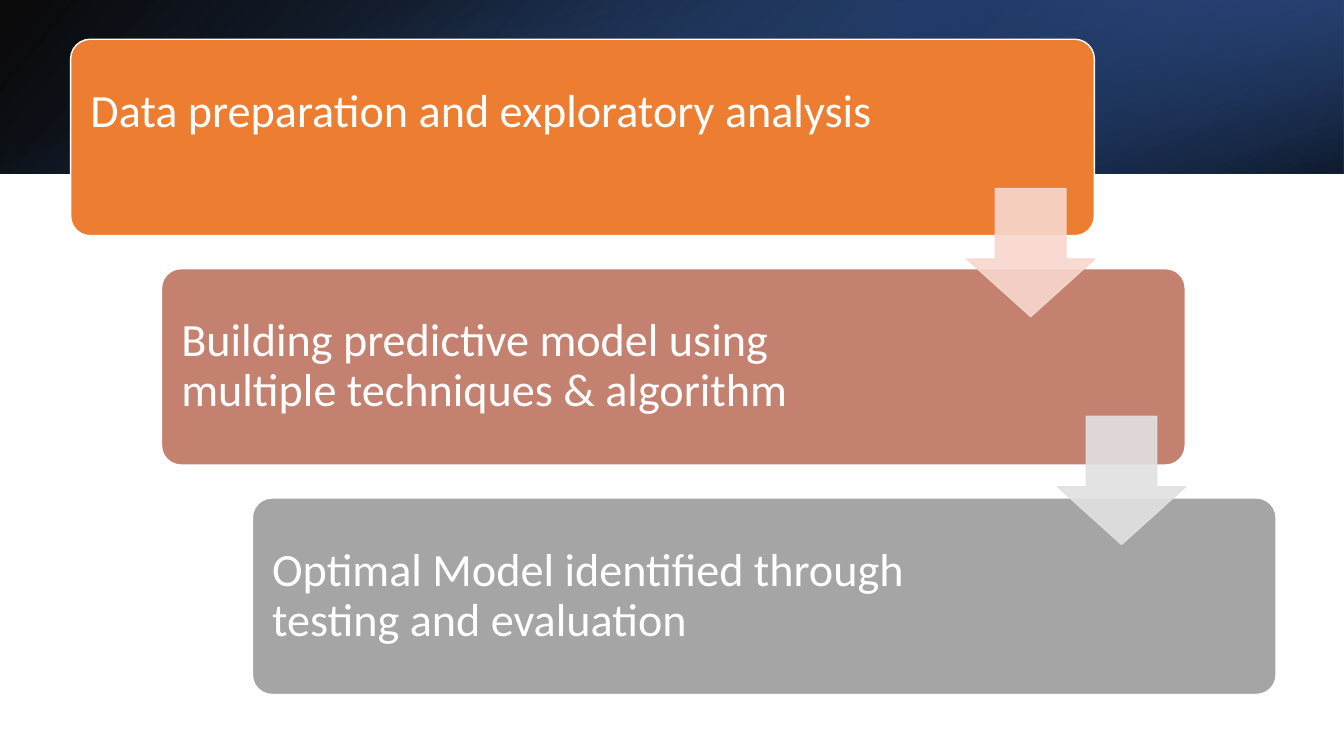
from pptx import Presentation
from pptx.dml.color import RGBColor
from pptx.enum.shapes import MSO_SHAPE as Shape
from pptx.enum.text import MSO_ANCHOR as Anchor
from pptx.oxml import parse_xml
from pptx.oxml.ns import nsdecls, qn
from pptx.util import Cm, Pt

COLORS = {
    "white": "FFFFFF", "black": "000000", "navy": "203864",
    "deep_blue": "2F5597", "blue": "4472C4", "orange": "ED7D31",
    "clay": "C48170", "gray": "A5A5A5", "pale_clay": "F8D7CE",
    "pale_gray": "E1E1E1",
}
SLIDE_WIDTH, SLIDE_HEIGHT = 33.87, 19.05
BAND_HEIGHT = 4.37
CARD_WIDTH, CARD_HEIGHT = 25.8, 4.95
CARD_LEFT, CARD_TOP = 1.78, 0.99
STEP_RIGHT, STEP_DOWN = 2.29, 5.78
ARROW_LEFT, ARROW_TOP, ARROW_SIZE, ARROW_DOWN = 24.36, 4.75, 3.23, 5.74
INSET = 0.36

# text, card colour, text width, extra right inset, extra bottom inset
STEPS = [
    ("Data preparation and exploratory analysis", "orange", 20.45, 0, 1.28),
    ("Building predictive model using multiple techniques & algorithm",
     "clay", 20.02, 1.4, 0),
    ("Optimal Model identified through testing and evaluation",
     "gray", 20.02, 1.4, 0),
]


class StepDeck:
    """Holds the text style and the slide being drawn."""

    def __init__(self, slide, font="Calibri", size=33):
        self.slide = slide
        self.font = font
        self.size = size

    def add_plain(self, kind, left, top, width, height):
        shape = self.slide.shapes.add_shape(
            kind, Cm(left), Cm(top), Cm(width), Cm(height))
        shape.shadow.inherit = False
        return shape

    def add_band(self, box, stops, angle, rotation=0, flipped=False):
        """Gradient rectangle; stops are (position %, colour, opacity %)."""
        shape = self.add_plain(Shape.RECTANGLE, *box)
        shape.rotation = rotation
        shape.line.fill.background()
        properties = shape.element.spPr
        if flipped:
            properties.find(qn("a:xfrm")).set("flipH", "1")
        stop_xml = "".join(
            f'<a:gs pos="{position * 1000}"><a:srgbClr val="{COLORS[color]}">'
            f'<a:alpha val="{opacity * 1000}"/></a:srgbClr></a:gs>'
            for position, color, opacity in stops)
        gradient = parse_xml(
            f'<a:gradFill {nsdecls("a")}><a:gsLst>{stop_xml}</a:gsLst>'
            f'<a:lin ang="{angle * 60000}" scaled="0"/></a:gradFill>')
        shape.fill.background()
        properties.replace(properties.find(qn("a:noFill")), gradient)

    def add_card(self, left, top, color):
        shape = self.add_plain(
            Shape.ROUNDED_RECTANGLE, left, top, CARD_WIDTH, CARD_HEIGHT)
        shape.adjustments[0] = 0.1
        shape.fill.solid()
        shape.fill.fore_color.rgb = RGBColor.from_string(COLORS[color])
        shape.line.color.rgb = RGBColor.from_string(COLORS["white"])
        shape.line.width = Pt(1)

    def add_label(self, text, left, top, width, extra_right, extra_bottom):
        box = self.slide.shapes.add_textbox(
            Cm(left), Cm(top), Cm(width), Cm(CARD_HEIGHT - 0.28))
        frame = box.text_frame
        frame.word_wrap = True
        frame.vertical_anchor = Anchor.MIDDLE
        frame.margin_left = frame.margin_top = Cm(INSET)
        frame.margin_right = Cm(INSET + extra_right)
        frame.margin_bottom = Cm(INSET + extra_bottom)
        paragraph = frame.paragraphs[0]
        paragraph.line_spacing = 0.9
        run = paragraph.add_run()
        run.text = text
        run.font.name = self.font
        run.font.size = Pt(self.size)
        run.font.color.rgb = RGBColor.from_string(COLORS["white"])

    def add_arrow(self, left, top, color, opacity=90):
        shape = self.add_plain(
            Shape.DOWN_ARROW, left, top, ARROW_SIZE, ARROW_SIZE)
        shape.adjustments[0] = 0.55
        shape.adjustments[1] = 0.45
        shape.fill.solid()
        shape.line.width = Pt(1)
        for target in (shape.fill.fore_color, shape.line.color):
            target.rgb = RGBColor.from_string(COLORS[color])
        for element in shape.element.spPr.iter(qn("a:srgbClr")):
            element.append(parse_xml(
                f'<a:alpha {nsdecls("a")} val="{opacity * 1000}"/>'))


def main():
    presentation = Presentation()
    presentation.slide_width = Cm(SLIDE_WIDTH)
    presentation.slide_height = Cm(SLIDE_HEIGHT)
    deck = StepDeck(presentation.slides.add_slide(presentation.slide_layouts[6]))

    turned = (SLIDE_WIDTH - BAND_HEIGHT) / 2
    deck.add_band((0, 0, SLIDE_WIDTH, BAND_HEIGHT),
                  [(0, "black", 96), (100, "deep_blue", 100)], 140, flipped=True)
    deck.add_band((SLIDE_WIDTH * 2 / 3, 0, SLIDE_WIDTH / 3, BAND_HEIGHT),
                  [(19, "navy", 68), (100, "blue", 79)], 320, 180, flipped=True)
    deck.add_band((turned, -turned, BAND_HEIGHT, SLIDE_WIDTH),
                  [(23, "blue", 0), (99, "black", 74)], 340, 90)

    for index, (text, color, width, right, bottom) in enumerate(STEPS):
        left = CARD_LEFT + index * STEP_RIGHT
        top = CARD_TOP + index * STEP_DOWN
        deck.add_card(left, top, color)
        deck.add_label(text, left + 0.14, top + 0.14, width, right, bottom)

    for index, color in enumerate(("pale_clay", "pale_gray")):
        deck.add_arrow(ARROW_LEFT + index * STEP_RIGHT,
                       ARROW_TOP + index * ARROW_DOWN, color)

    presentation.save("out.pptx")


if __name__ == "__main__":
    main()
